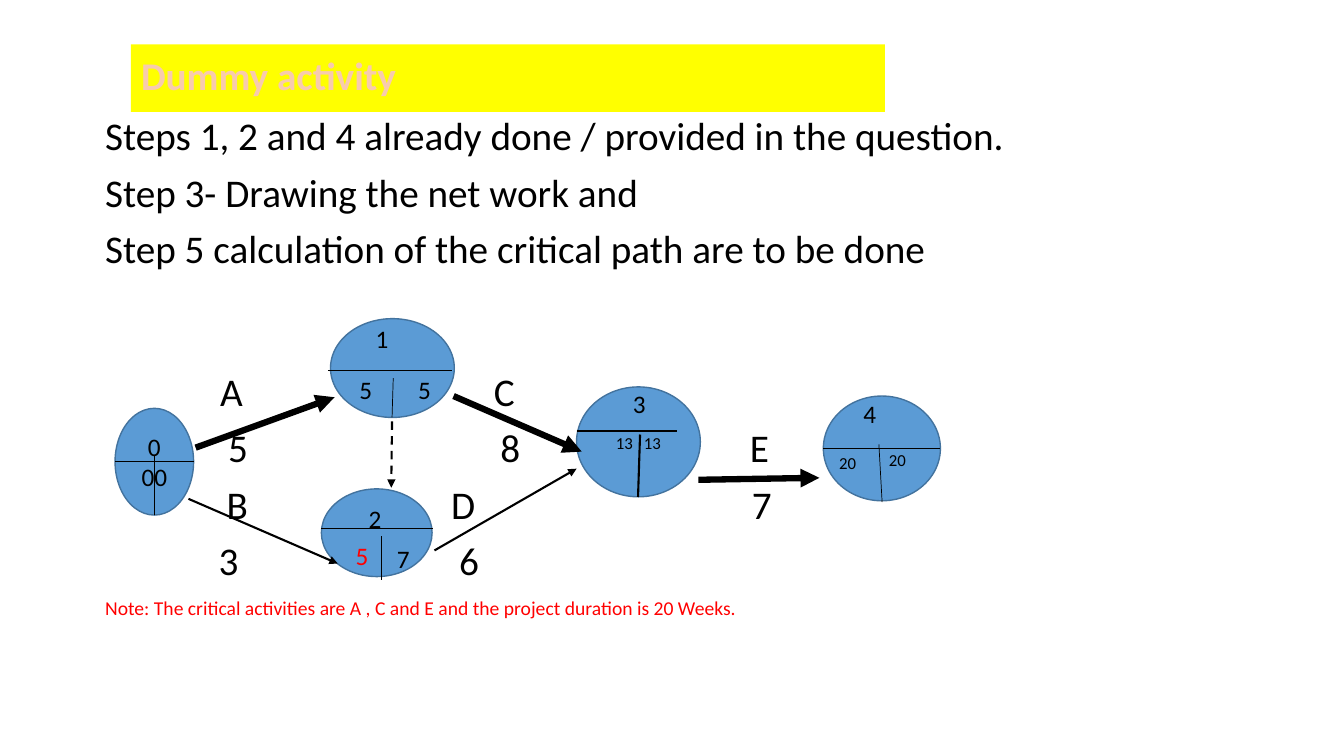
from dataclasses import dataclass

from lxml import etree
from pptx import Presentation
from pptx.dml.color import RGBColor
from pptx.enum import dml, shapes, text
from pptx.oxml import ns
from pptx.util import Cm, Pt


@dataclass(frozen=True)
class Theme:
    font: str = "Calibri"
    ink: str = "000000"
    red: str = "FF0000"
    banner: str = "FFFF00"
    title: str = "F8CBAD"
    title_outline: str = "ED7D31"
    node: str = "5B9BD5"
    node_edge: str = "43739E"
    large: int = 28
    medium: int = 18
    note: int = 14
    small: int = 12
    thin: float = 0.5
    normal: float = 1.5
    critical: float = 4.5


def color(value):
    return RGBColor.from_string(value)


def write(paragraph, content, *, font, size, ink, bold=False, align=None,
          spacing=None, before=0, tabs=()):
    """Put formatted text into a paragraph and return its run."""
    paragraph.alignment = align
    paragraph.line_spacing = spacing
    paragraph.space_before = Pt(before)
    if tabs:
        properties = paragraph._p.get_or_add_pPr()
        tab_list = etree.SubElement(properties, ns.qn("a:tabLst"))
        for position in tabs:
            etree.SubElement(tab_list, ns.qn("a:tab"), pos=str(Cm(position)), algn="l")
    run = paragraph.add_run()
    run.text = content
    run.font.name = font
    run.font.size = Pt(size)
    run.font.bold = bold
    run.font.color.rgb = color(ink)
    return run


class NetworkSlide:
    def __init__(self, presentation, theme):
        self.theme = theme
        self.slide = presentation.slides.add_slide(presentation.slide_layouts[5])

    def title(self, content, left, top, width, height):
        shape = self.slide.shapes.title
        shape.left, shape.top, shape.width, shape.height = map(Cm, (left, top, width, height))
        shape.fill.solid()
        shape.fill.fore_color.rgb = color(self.theme.banner)
        frame = shape.text_frame
        frame.vertical_anchor = text.MSO_ANCHOR.MIDDLE
        run = write(frame.paragraphs[0], content, font=self.theme.font,
                    size=self.theme.large, ink=self.theme.title, bold=True,
                    align=text.PP_ALIGN.LEFT, spacing=0.9)
        # Letter outline goes ahead of the letter fill
        outline = etree.Element(ns.qn("a:ln"), w=str(Pt(1.75)))
        fill = etree.SubElement(outline, ns.qn("a:solidFill"))
        etree.SubElement(fill, ns.qn("a:srgbClr"), val=self.theme.title_outline)
        run.font._element.insert(0, outline)

    def text_box(self, left, top, width, height):
        box = self.slide.shapes.add_textbox(*map(Cm, (left, top, width, height)))
        box.text_frame.word_wrap = True
        return box.text_frame

    def body(self, lines, left, top, width, height):
        frame = self.text_box(left, top, width, height)
        for index, (content, options) in enumerate(lines):
            paragraph = frame.add_paragraph() if index else frame.paragraphs[0]
            style = dict(font=self.theme.font, size=self.theme.large, ink=self.theme.ink,
                         spacing=0.9, before=10 if index else 0)
            write(paragraph, content, **(style | options))

    def node(self, left, top, width, height, content=""):
        oval = self.slide.shapes.add_shape(
            shapes.MSO_SHAPE.OVAL, *map(Cm, (left, top, width, height)))
        oval.shadow.inherit = False
        oval.fill.solid()
        oval.fill.fore_color.rgb = color(self.theme.node)
        oval.line.color.rgb = color(self.theme.node_edge)
        oval.line.width = Pt(1)
        if content:
            oval.text_frame.vertical_anchor = text.MSO_ANCHOR.MIDDLE
            write(oval.text_frame.paragraphs[0], content, font=self.theme.font,
                  size=self.theme.medium, ink=self.theme.ink, align=text.PP_ALIGN.CENTER)

    def line(self, x1, y1, x2, y2, weight, arrow=False, dashed=False):
        connector = self.slide.shapes.add_connector(
            shapes.MSO_CONNECTOR.STRAIGHT, *map(Cm, (x1, y1, x2, y2)))
        connector.line.color.rgb = color(self.theme.ink)
        connector.line.width = Pt(weight)
        if dashed:
            connector.line.dash_style = dml.MSO_LINE.DASH
        if arrow:
            etree.SubElement(connector.line._get_or_add_ln(),
                             ns.qn("a:tailEnd"), type="triangle")
        etree.SubElement(connector._element.spPr, ns.qn("a:effectLst"))

    def label(self, content, left, top, size, ink):
        frame = self.text_box(left, top, 1.1, 1.02 if size > self.theme.small else 0.76)
        write(frame.paragraphs[0], content, font=self.theme.font, size=size, ink=ink)


def main():
    theme = Theme()
    presentation = Presentation()
    presentation.slide_width, presentation.slide_height = Cm(33.87), Cm(19.05)
    network = NetworkSlide(presentation, theme)

    # Title and running text, with activity names and durations on tab stops
    network.title("Dummy activity", 3.3, 1.12, 19, 1.7)
    network.body([
        ("Steps 1, 2 and 4 already done / provided in the question.", {}),
        ("Step 3- Drawing the net work and", {}),
        ("Step 5 calculation of the critical path are to be done", {}),
        ("\tA\tC", dict(before=72, tabs=(2.9, 9.8))),
        ("\t5\t8\tE", dict(tabs=(3.1, 9.96, 16.25))),
        ("\tB\tD\t7", dict(tabs=(3.06, 8.72, 16.3))),
        ("\t3\t6", dict(tabs=(2.86, 8.92))),
        ("Note: The critical activities are A , C and E and the project duration is 20 Weeks.",
         dict(size=theme.note, ink=theme.red)),
    ], 2.4, 2.82, 28.96, 14.17)

    # Event nodes
    for node in (
        (2.9, 10.29, 1.98, 2.69, "0 00"),
        (8.33, 8.03, 3.12, 2.49),
        (8.1, 12.32, 2.79, 2.21),
        (14.53, 9.75, 3.12, 2.77),
        (20.75, 9.98, 2.95, 2.64),
    ):
        network.node(*node)

    # Activity arrows: A, C, E, B, D
    for x1, y1, x2, y2, weight in (
        (4.93, 11.28, 8.43, 10.01, theme.critical),
        (11.43, 9.98, 14.66, 11.38, theme.critical),
        (17.6, 12.09, 20.65, 12.04, theme.critical),
        (4.75, 12.57, 8.51, 14.2, theme.normal),
        (10.95, 13.87, 14.53, 11.81, theme.normal),
    ):
        network.line(x1, y1, x2, y2, weight, arrow=True)
    network.line(9.88, 10.62, 9.86, 12.29, theme.normal, arrow=True, dashed=True)

    # Dividers inside the nodes: one across, one down
    for across, down, weight in (
        ((2.9, 11.63, 4.88, 11.63), (3.89, 11.46, 3.89, 12.98), theme.thin),
        ((8.26, 9.32, 11.38, 9.32), (9.91, 9.53, 9.88, 10.52), theme.thin),
        ((8.1, 13.31, 10.9, 13.31), (9.6, 13.51, 9.6, 14.61), theme.thin),
        ((14.53, 10.85, 17.07, 10.85), (16.13, 10.95, 16.08, 12.52), theme.normal),
        ((20.75, 11.3, 23.7, 11.3), (22.15, 11.2, 22.23, 12.65), theme.thin),
    ):
        network.line(*across, weight)
        network.line(*down, weight)

    # Event numbers and times
    for content, left, top, size, ink in (
        ("1", 9.22, 8.03, theme.medium, theme.ink),
        ("5", 8.81, 9.32, theme.medium, theme.ink),
        ("5", 10.29, 9.32, theme.medium, theme.ink),
        ("2", 9.04, 12.55, theme.medium, theme.ink),
        ("5", 8.71, 13.49, theme.medium, theme.red),
        ("7", 9.75, 13.56, theme.medium, theme.ink),
        ("3", 15.7, 9.65, theme.medium, theme.ink),
        ("13", 15.27, 10.77, theme.small, theme.ink),
        ("13", 15.98, 10.77, theme.small, theme.ink),
        ("4", 21.51, 9.91, theme.medium, theme.ink),
        ("20", 20.9, 11.28, theme.small, theme.ink),
        ("20", 22.15, 11.2, theme.small, theme.ink),
    ):
        network.label(content, left, top, size, ink)

    presentation.save("out.pptx")


if __name__ == "__main__":
    main()
